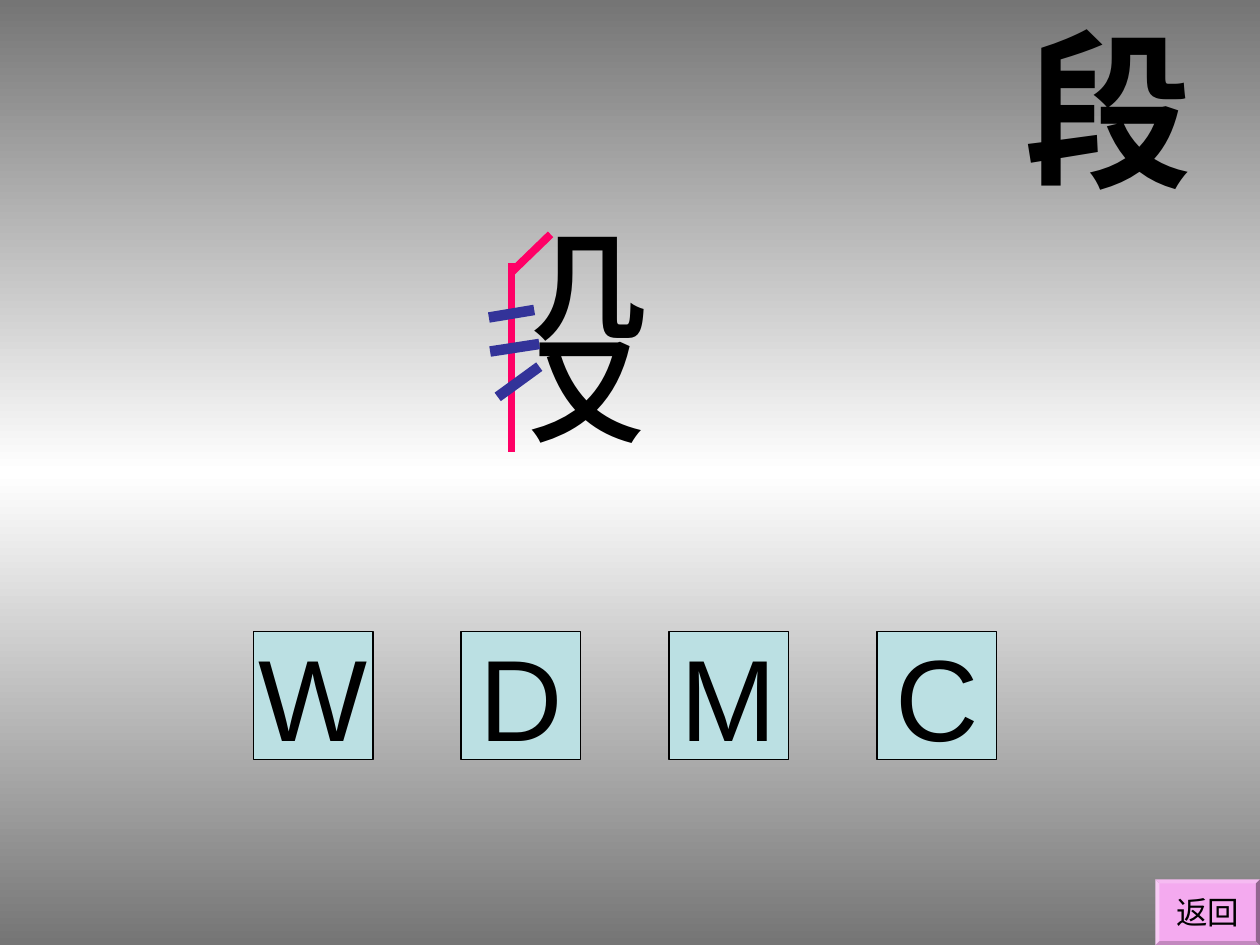
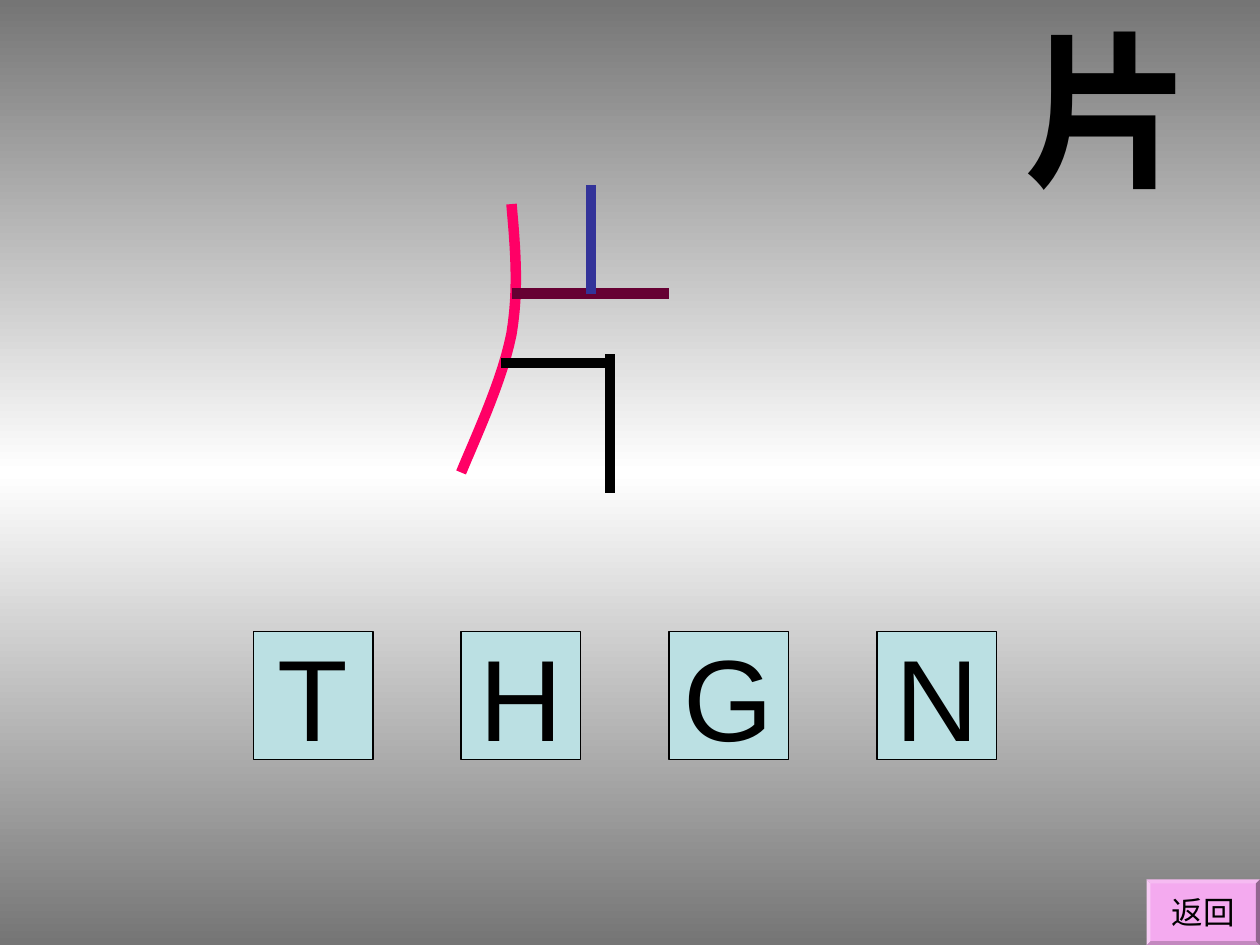
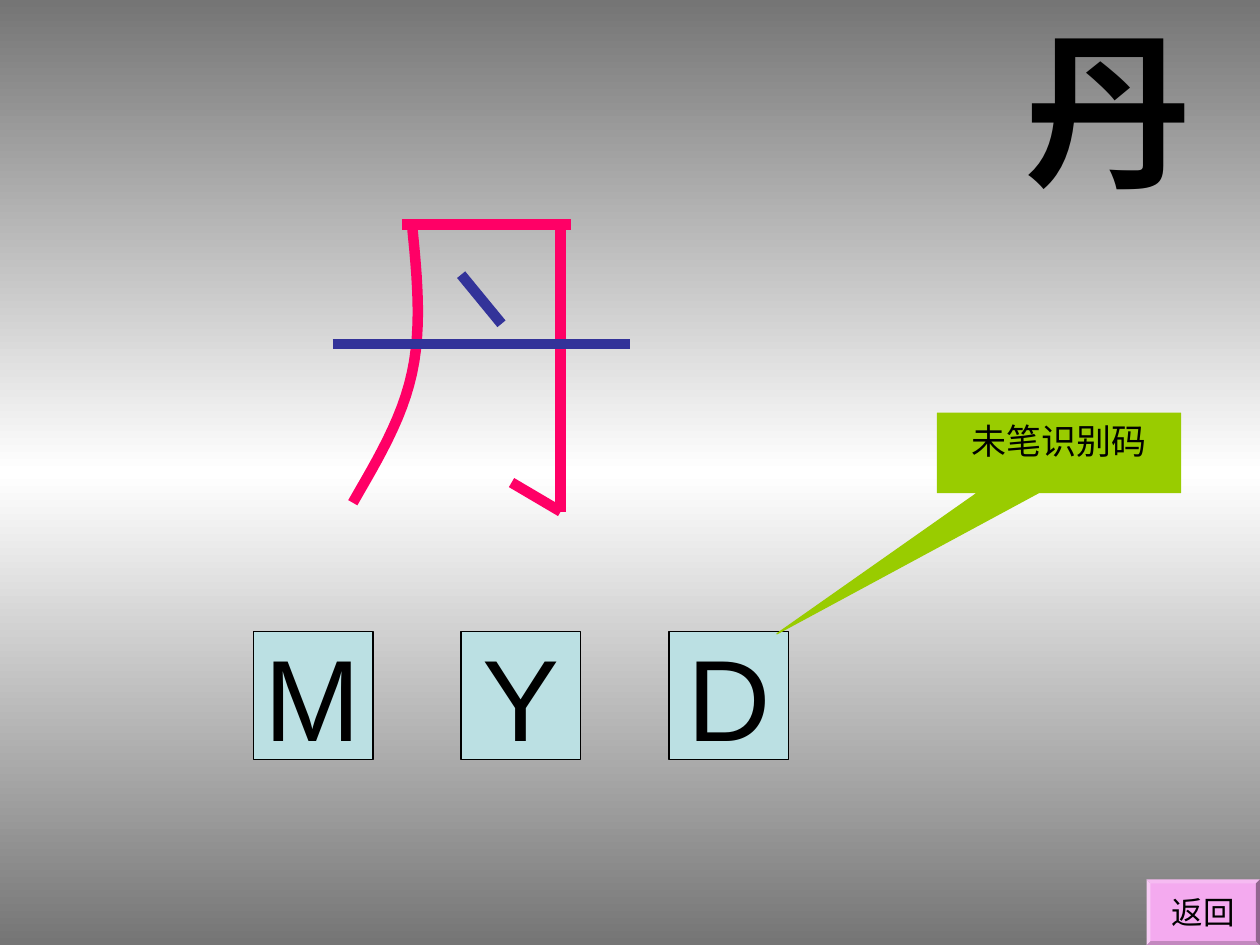
"""Three slides that take characters apart into strokes and key codes."""
from copy import deepcopy
from dataclasses import dataclass
from typing import Any, Optional

from pptx import Presentation
from pptx.dml.color import RGBColor
from pptx.enum.shapes import MSO_CONNECTOR as Connector, MSO_SHAPE as Shape
from pptx.enum.text import MSO_ANCHOR as Anchor, MSO_AUTO_SIZE as AutoSize, PP_ALIGN as Align
from pptx.oxml.ns import qn
from pptx.oxml.xmlchemy import OxmlElement
from pptx.util import Inches, Pt

BLACK = RGBColor(0x00, 0x00, 0x00)
WHITE = RGBColor(0xFF, 0xFF, 0xFF)
GRAY = RGBColor(0x75, 0x75, 0x75)
PALE_TEAL = RGBColor(0xBB, 0xE0, 0xE3)
ORCHID = RGBColor(0xF4, 0xAA, 0xEF)
LIME = RGBColor(0x99, 0xCC, 0x00)
PINK = RGBColor(0xFF, 0x00, 0x66)
INDIGO = RGBColor(0x33, 0x33, 0x99)
MAROON = RGBColor(0x66, 0x00, 0x33)

FONT = "Arial"
TITLE_ONLY = 5
SLIDE_WIDTH, SLIDE_HEIGHT = 10, 7.5
TILE_LEFT, TILE_TOP, TILE_PITCH = 2.01, 5.01, 1.65
TILE_WIDTH, TILE_HEIGHT = 0.95, 1.02
BUTTON_TOP = 6.98
CURVE_STEPS = 12

Point = tuple[float, float]
Box = tuple[float, float, float, float]


@dataclass(frozen=True)
class StrokeGroup:
    """Strokes of one colour; the curve is a chain of cubic control points."""
    color: RGBColor
    lines: tuple[tuple[Point, Point], ...] = ()
    curve: tuple[Point, ...] = ()
    width: float = 6


@dataclass(frozen=True)
class Component:
    """A character component set as text."""
    text: str
    box: Box


@dataclass(frozen=True)
class Callout:
    """A note whose pointer is given relative to the box centre."""
    text: str
    box: Box
    pointer: Point


@dataclass(frozen=True)
class CharacterSlide:
    """Everything that differs between slides."""
    character: str
    keys: str
    button_left: float
    strokes: tuple[StrokeGroup, ...]
    components: tuple[Component, ...] = ()
    callout: Optional[Callout] = None


SLIDES = (
    CharacterSlide(
        "段", "WDMC", 9.17,
        (
            StrokeGroup(PINK, (((4.37, 1.86), (4.06, 2.16)), ((4.06, 2.09), (4.06, 3.59))), width=4.5),
            StrokeGroup(INDIGO, (((3.88, 2.52), (4.24, 2.46)), ((3.89, 2.79), (4.28, 2.73)),
                                 ((3.95, 3.15), (4.28, 2.91)))),
        ),
        components=(Component("又", (4.06, 2.57, 1.18, 1.02)), Component("几", (4.13, 1.78, 1.1, 0.95))),
    ),
    CharacterSlide(
        "片", "THGN", 9.1,
        (
            StrokeGroup(PINK, curve=((4.06, 1.62), (4.09, 1.96), (4.12, 2.29), (4.06, 2.65),
                                     (3.99, 3), (3.82, 3.37), (3.66, 3.75))),
            StrokeGroup(MAROON, (((4.06, 2.33), (5.31, 2.33)),)),
            StrokeGroup(INDIGO, (((4.69, 1.47), (4.69, 2.33)),)),
            StrokeGroup(BLACK, (((3.98, 2.88), (4.84, 2.88)), ((4.84, 2.81), (4.84, 3.91)))),
        ),
    ),
    CharacterSlide(
        "丹", "MYD", 9.1,
        (
            StrokeGroup(PINK, (((3.19, 1.78), (4.53, 1.78)), ((4.45, 1.78), (4.45, 4.06)),
                               ((4.06, 3.83), (4.45, 4.06))),
                        ((3.27, 1.78), (3.31, 2.19), (3.35, 2.59), (3.27, 2.96),
                         (3.19, 3.33), (2.99, 3.66), (2.8, 3.99))),
            StrokeGroup(INDIGO, (((2.64, 2.73), (5, 2.73)), ((3.66, 2.18), (3.98, 2.57)))),
        ),
        callout=Callout("未笔识别码", (7.44, 3.28, 1.93, 0.63), (-1.16, 2.28)),
    ),
)


def inches(values: tuple[float, ...]) -> list[int]:
    """Convert lengths in inches to slide units."""
    return [Inches(value) for value in values]


def apply(target: Any, values: dict[str, Any]) -> None:
    """Set each named attribute on the target."""
    for name, value in values.items():
        setattr(target, name, value)


def write(shape: Any, text: str, size: float, bold: bool = False, align: Align = Align.CENTER,
          anchor: Anchor = Anchor.MIDDLE, wrap: bool = False) -> None:
    """Put one formatted paragraph in a shape."""
    frame = shape.text_frame
    apply(frame, {
        "auto_size": AutoSize.NONE, "word_wrap": wrap, "vertical_anchor": anchor,
        "margin_left": Inches(0.1), "margin_right": Inches(0.1),
        "margin_top": Inches(0.05), "margin_bottom": Inches(0.05),
    })
    paragraph = frame.paragraphs[0]
    paragraph.alignment = align
    run = paragraph.add_run()
    run.text = text
    apply(run.font, {"name": FONT, "size": Pt(size), "bold": bold})
    run.font.color.rgb = BLACK


def add_filled(slide: Any, kind: Shape, box: Box, fill: RGBColor, line: Optional[RGBColor] = None) -> Any:
    """Add a flat preset shape with an optional thin outline."""
    shape = slide.shapes.add_shape(kind, *inches(box))
    shape.shadow.inherit = False
    shape.fill.solid()
    shape.fill.fore_color.rgb = fill
    if line is None:
        shape.line.fill.background()
    else:
        shape.line.color.rgb = line
        shape.line.width = Pt(0.75)
    return shape


def curve_points(controls: tuple[Point, ...]) -> list[Point]:
    """Sample the chained cubic curves."""
    points = [controls[0]]
    for first in range(0, len(controls) - 1, 3):
        a, b, c, d = controls[first:first + 4]
        for step in range(1, CURVE_STEPS + 1):
            t = step / CURVE_STEPS
            u = 1 - t
            weights = (u ** 3, 3 * u * u * t, 3 * u * t * t, t ** 3)
            x, y = (sum(weight * value for weight, value in zip(weights, axis)) for axis in zip(a, b, c, d))
            points.append((x, y))
    return points


def add_strokes(slide: Any, group: StrokeGroup) -> None:
    """Draw the strokes, grouped when there are several."""
    several = len(group.lines) + bool(group.curve) > 1
    shapes = slide.shapes.add_group_shape().shapes if several else slide.shapes
    strokes = []
    if group.curve:
        start, *rest = [inches(point) for point in curve_points(group.curve)]
        builder = shapes.build_freeform(*start)
        builder.add_line_segments(rest, close=False)
        curve = builder.convert_to_shape()
        curve.fill.background()
        strokes.append(curve)
    for start, end in group.lines:
        strokes.append(shapes.add_connector(Connector.STRAIGHT, *inches(start + end)))
    for stroke in strokes:
        stroke.line.color.rgb = group.color
        stroke.line.width = Pt(group.width)
        stroke.element.spPr.append(OxmlElement("a:effectLst"))


def add_title(slide: Any, character: str) -> None:
    """Place the studied character in the top right corner."""
    title = slide.shapes.title
    apply(title, dict(zip(("left", "top", "width", "height"), inches((8.03, 0, 1.97, 1.7)))))
    write(title, character, 96, bold=True, align=Align.LEFT, anchor=Anchor.TOP, wrap=True)


def add_keys(slide: Any, keys: str) -> None:
    """Add a row of evenly spaced key tiles."""
    for index, key in enumerate(keys):
        box = (TILE_LEFT + index * TILE_PITCH, TILE_TOP, TILE_WIDTH, TILE_HEIGHT)
        write(add_filled(slide, Shape.RECTANGLE, box, PALE_TEAL, BLACK), key, 66)


def add_return_button(slide: Any, left: float) -> None:
    """Add the bevelled button that fills the bottom right corner."""
    box = (left, BUTTON_TOP, SLIDE_WIDTH - left, SLIDE_HEIGHT - BUTTON_TOP)
    button = add_filled(slide, Shape.BEVEL, box, ORCHID)
    button.adjustments[0] = 0.06
    write(button, "返回", 18)


def add_callout(slide: Any, callout: Callout) -> None:
    """Add a note pointing at a key tile."""
    shape = add_filled(slide, Shape.RECTANGULAR_CALLOUT, callout.box, LIME, LIME)
    for index, offset in enumerate(callout.pointer):
        shape.adjustments[index] = offset
    write(shape, callout.text, 20, anchor=Anchor.TOP, wrap=True)


def set_background(master: Any) -> None:
    """Give all slides a gray, white, gray vertical gradient."""
    fill = master.background.fill
    fill.gradient()
    fill.gradient_angle = 270
    stop_list = master.element.find(".//" + qn("a:gsLst"))
    stop_list.append(deepcopy(stop_list[-1]))
    for stop, position, color in zip(fill.gradient_stops, (0, 0.5, 1), (GRAY, WHITE, GRAY)):
        stop.position = position
        stop.color.rgb = color


def add_character_slide(presentation: Any, content: CharacterSlide) -> None:
    """Build one slide."""
    slide = presentation.slides.add_slide(presentation.slide_layouts[TITLE_ONLY])
    add_title(slide, content.character)
    add_keys(slide, content.keys)
    add_return_button(slide, content.button_left)
    if content.callout:
        add_callout(slide, content.callout)
    for component in content.components:
        write(slide.shapes.add_textbox(*inches(component.box)), component.text, 66, bold=True)
    for group in content.strokes:
        add_strokes(slide, group)


def main() -> None:
    """Build and save the presentation."""
    presentation = Presentation()
    presentation.slide_width = Inches(SLIDE_WIDTH)
    presentation.slide_height = Inches(SLIDE_HEIGHT)
    set_background(presentation.slide_master)
    for content in SLIDES:
        add_character_slide(presentation, content)
    presentation.save("out.pptx")


if __name__ == "__main__":
    main()
